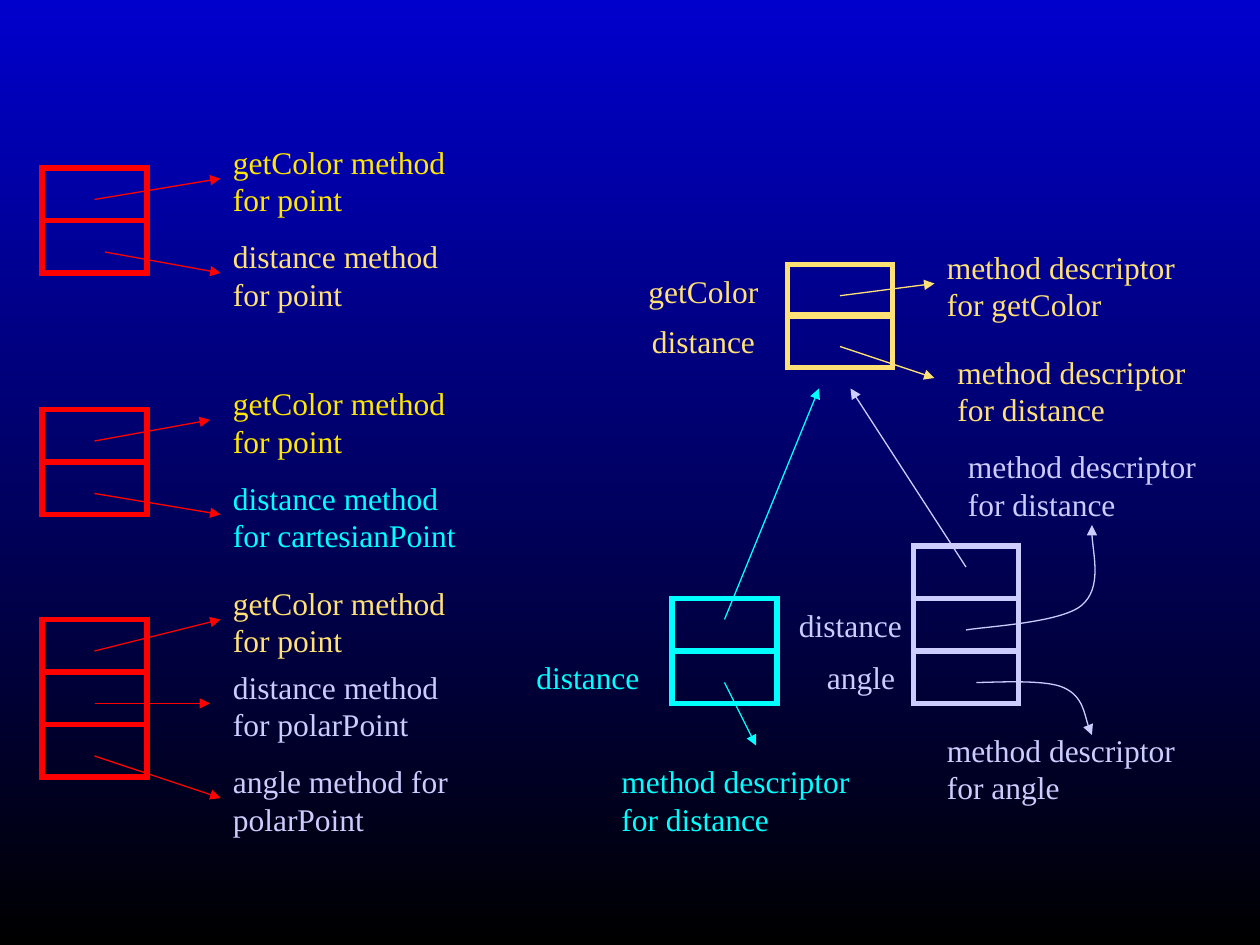
import dataclasses

import pptx
import pptx.dml.color
import pptx.enum.shapes
import pptx.enum.text
import pptx.oxml.ns
import pptx.util

Pt = pptx.util.Pt
RGB = pptx.dml.color.RGBColor.from_string
qn = pptx.oxml.ns.qn


@dataclasses.dataclass(frozen=True)
class Theme:
    """Colours, type and line sizes of the slide."""
    sky: str = "0000CC"
    night: str = "000000"
    red: str = "FF0000"
    gold: str = "FFE701"
    sand: str = "FFE175"
    cyan: str = "00FFFF"
    lilac: str = "CCCCFF"
    font: str = "Times New Roman"
    size: int = 18
    border: float = 3
    thin: float = 0.75


T = Theme()
CELL_W, CELL_H = 60, 30
LABEL_W = 72
TEXT_H = 50.4

METHOD_TABLES = [
    (96, [("getColor method\nfor point", T.gold, 78, 54, 126),
          ("distance method\nfor point", T.sand, 132, 60, 126)]),
    (234, [("getColor method\nfor point", T.gold, 216, 54, 120),
           ("distance method\nfor cartesianPoint", T.cyan, 270, 54, 126)]),
    (354, [("getColor method\nfor point", T.sand, 330, 54, 126),
           ("distance method\nfor polarPoint", T.lilac, 378, 54, 120),
           ("angle method for\npolarPoint", T.lilac, 432, 54, 126)]),
]
DESCRIPTOR_TABLES = [
    (450, 151, 29, 2, T.sand), (384, 342, 30, 2, T.cyan), (522, 312, 30, 3, T.lilac),
]
FIELD_LABELS = [
    ("getColor", 366, 151, T.sand), ("distance", 366, 180, T.sand),
    ("distance", 300, 372, T.cyan),
    ("distance", 450, 342, T.lilac), ("angle", 456, 372, T.lilac),
]
DESCRIPTORS = [
    ("getColor", 534, 138, T.sand), ("distance", 540, 198, T.sand),
    ("distance", 348, 432, T.cyan),
    ("distance", 546, 252, T.lilac), ("angle", 534, 414, T.lilac),
]
ARROWS = [
    ((480, 169), (534, 162), T.sand), ((480, 198), (534, 216), T.sand),
    ((414, 390), (432, 426), T.cyan), ((414, 354), (468, 222), T.cyan),
    ((552, 324), (486, 222), T.lilac),
]
CURVES = [
    [(552, 360), (563, 358), (606, 356), (618, 346), (630, 336), (623, 310), (624, 300)],
    [(558, 390), (567, 390), (598, 388), (608, 393), (619, 398), (621, 415), (624, 420)],
]


def set_background(s):
    """Fill the slide with a gradient from top to bottom."""
    fill = s.background.fill
    fill.gradient()
    fill.gradient_angle = 270
    for stop, colour in zip(fill.gradient_stops, (T.sky, T.night)):
        stop.color.rgb = RGB(colour)


def set_line(sp, colour, width, tag, **attributes):
    """Colour an outline and add one line property, a join or an arrowhead."""
    sp.line.color.rgb = RGB(colour)
    sp.line.width = Pt(width)
    ln = sp._element.spPr.find(qn("a:ln"))
    ln.append(ln.makeelement(qn(tag), attributes))


def add_cells(s, x, y, step, count, colour):
    """Stack empty outlined cells downwards."""
    for i in range(count):
        sp = s.shapes.add_shape(pptx.enum.shapes.MSO_SHAPE.RECTANGLE,
                                Pt(x), Pt(y + i * step), Pt(CELL_W), Pt(CELL_H))
        sp.shadow.inherit = False
        sp.fill.background()
        set_line(sp, colour, T.border, "a:miter", lim="800000")


def add_text(s, text, x, y, w, h, colour):
    """Add a left-aligned text box and return its frame."""
    tf = s.shapes.add_textbox(Pt(x), Pt(y), Pt(w), Pt(h)).text_frame
    tf.word_wrap = True
    tf.text = text
    for p in tf.paragraphs:
        for r in p.runs:
            r.font.name = T.font
            r.font.size = Pt(T.size)
            r.font.color.rgb = RGB(colour)
    return tf


def add_label(s, text, x, y, colour):
    """Add a field name centred beside its cell."""
    tf = add_text(s, text, x, y, LABEL_W, CELL_H, colour)
    tf.margin_left = tf.margin_right = 0
    tf.vertical_anchor = pptx.enum.text.MSO_ANCHOR.MIDDLE
    tf.paragraphs[0].alignment = pptx.enum.text.PP_ALIGN.CENTER


def add_arrow(s, start, end, colour):
    """Draw a straight arrow."""
    sp = s.shapes.add_connector(pptx.enum.shapes.MSO_CONNECTOR.STRAIGHT,
                                *(Pt(v) for v in start + end))
    set_line(sp, colour, T.thin, "a:tailEnd", type="triangle")
    spPr = sp._element.spPr
    spPr.append(spPr.makeelement(qn("a:effectLst"), {}))


def add_curve(s, points, colour):
    """Draw a curved arrow through cubic Bezier points."""
    start, *rest = [(Pt(x), Pt(y)) for x, y in points]
    builder = s.shapes.build_freeform(*start)
    builder.add_line_segments(rest, close=False)
    sp = builder.convert_to_shape()
    sp.shadow.inherit = False
    sp.fill.background()
    set_line(sp, colour, T.thin, "a:tailEnd", type="triangle")
    route = next(sp._element.iter(qn("a:path")))
    segments = route.findall(qn("a:lnTo"))
    for i in range(0, len(segments), 3):
        curve = route.makeelement(qn("a:cubicBezTo"), {})
        segments[i].addprevious(curve)
        for segment in segments[i:i + 3]:
            curve.append(segment[0])
            route.remove(segment)


def add_method_table(s, top, methods):
    """Draw a method table with an arrow from each cell to its method."""
    add_cells(s, 24, top, CELL_H, len(methods), T.red)
    for i, (text, colour, y, start_x, end_x) in enumerate(methods):
        add_text(s, text, 126, y, 144, TEXT_H, colour)
        add_arrow(s, (start_x, top + i * CELL_H + 18), (end_x, y + 24), T.red)


def main():
    """Build the slide and save it."""
    prs = pptx.Presentation()
    prs.slide_width, prs.slide_height = Pt(720), Pt(540)
    s = prs.slides.add_slide(prs.slide_layouts[6])
    set_background(s)
    for table in METHOD_TABLES:
        add_method_table(s, *table)
    for table in DESCRIPTOR_TABLES:
        add_cells(s, *table)
    for label in FIELD_LABELS:
        add_label(s, *label)
    for name, x, y, colour in DESCRIPTORS:
        add_text(s, f"method descriptor\nfor {name}", x, y, 150, TEXT_H, colour)
    for arrow in ARROWS:
        add_arrow(s, *arrow)
    for points in CURVES:
        add_curve(s, points, T.lilac)
    prs.save("out.pptx")


if __name__ == "__main__":
    main()
